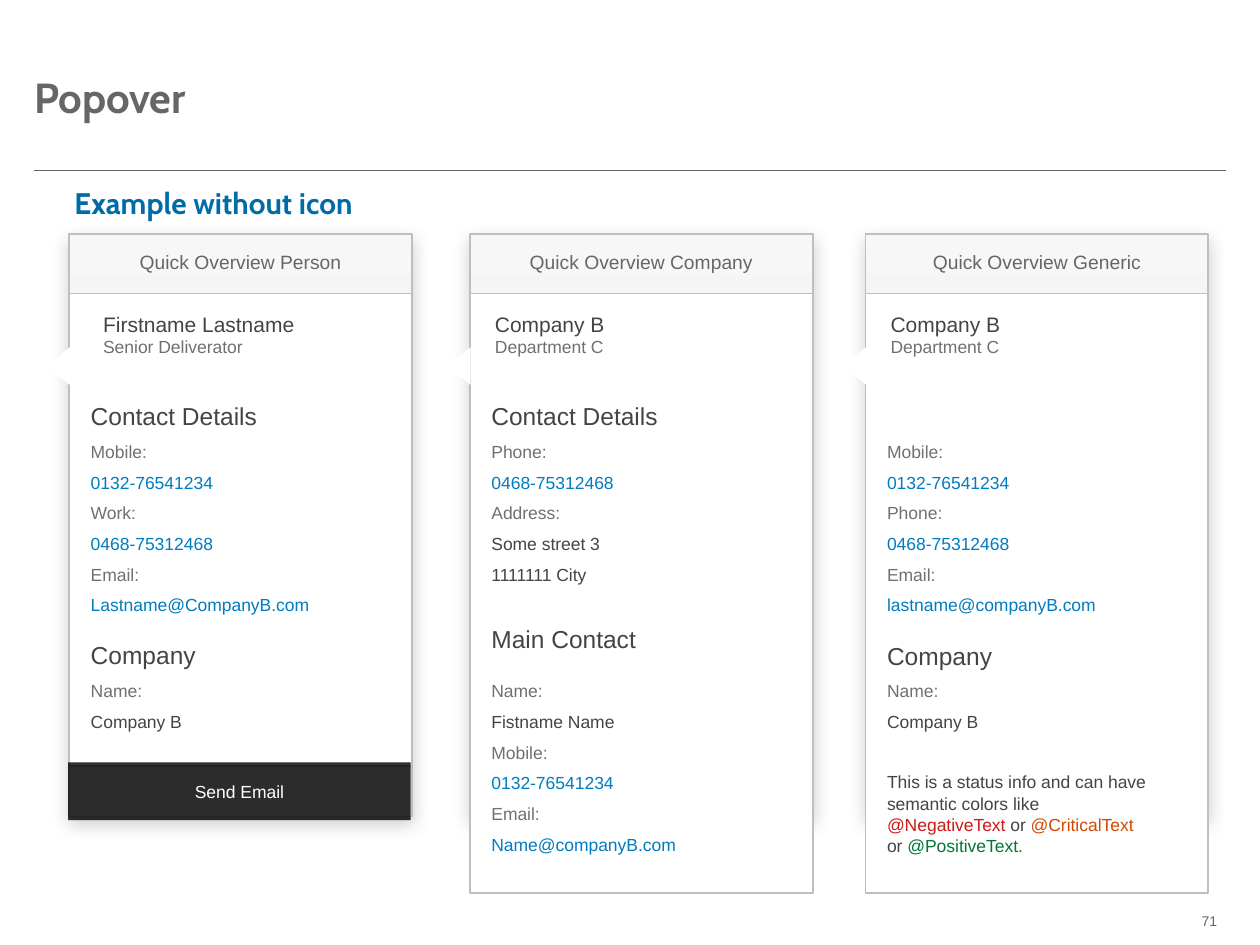
"""Builds the Popover slide with three quick overview cards."""
from dataclasses import dataclass

from lxml.etree import SubElement
from pptx import Presentation
from pptx.dml.color import RGBColor
from pptx.enum.shapes import MSO_CONNECTOR, MSO_SHAPE
from pptx.enum.text import MSO_ANCHOR as ANCHOR, PP_ALIGN as ALIGN
from pptx.oxml.ns import qn
from pptx.util import Inches, Pt


@dataclass(frozen=True)
class Style:
    size: float
    color: str
    font: str = "Arial"
    bold: bool = False


class Theme:
    title = Style(24, "666666", "Cabin", True)
    subtitle = Style(17, "006CA7", "Cabin", True)
    header = Style(11, "666666")
    name = Style(12, "444444")
    section = Style(14, "444444")
    label = Style(10, "707070")
    link = Style(10, "007CC0")
    value = Style(10, "444444")
    negative = Style(10, "CC1919")
    critical = Style(10, "D14900")
    positive = Style(10, "007833")
    button = Style(10, "FFFFFF")
    page = Style(8, "666666")
    rule, border, white, black = "666666", "BFBFBF", "FFFFFF", "000000"
    header_stops = ((0, "F7F7F7"), (0.34, "EDEDED"))
    gap, wide_gap = Pt(5.5), Pt(22.5)


CARD_TOP, CARD_WIDTH, BODY_TOP = 1.86, 2.72, 2.33
LABEL, LINK, VALUE = Theme.label, Theme.link, Theme.value
STATUS = [
    ("This is a status info and can have semantic colors like ", VALUE),
    ("@NegativeText ", Theme.negative), ("or ", VALUE),
    ("@CriticalText ", Theme.critical), ("or ", VALUE),
    ("@PositiveText.", Theme.positive),
]
CARDS = [
    dict(left=0.55, body=3.75, header="Quick Overview Person", indent=0.17,
         name="Firstname Lastname", role="Senior Deliverator",
         sections=[(3.18, "Contact Details"), (5.08, "Company")],
         details=[(3.5, [("Mobile:", LABEL), ("0132-76541234", LINK),
                         ("Work:", LABEL), ("0468-75312468", LINK),
                         ("Email:", LABEL), ("Lastname@CompanyB.com", LINK)]),
                  (5.4, [("Name:", LABEL), ("Company B", VALUE)])]),
    dict(left=3.73, body=4.76, header="Quick Overview Company", indent=0.1,
         name="Company B", role="Department C",
         sections=[(3.18, "Contact Details"), (4.95, "Main Contact")],
         details=[(3.5, [("Phone:", LABEL), ("0468-75312468", LINK),
                         ("Address:", LABEL), ("Some street 3", VALUE),
                         ("1111111 City", VALUE)]),
                  (5.4, [("Name:", LABEL), ("Fistname Name", VALUE),
                         ("Mobile:", LABEL), ("0132-76541234", LINK),
                         ("Email:", LABEL), ("Name@companyB.com", LINK)])]),
    dict(left=6.87, body=4.76, header="Quick Overview Generic", indent=0.1,
         name="Company B", role="Department C",
         sections=[(5.09, "Company")],
         details=[(3.5, [("Mobile:", LABEL), ("0132-76541234", LINK),
                         ("Phone:", LABEL), ("0468-75312468", LINK),
                         ("Email:", LABEL), ("lastname@companyB.com", LINK)]),
                  (5.4, [("Name:", LABEL), ("Company B", VALUE)])],
         status=STATUS),
]


def rgb(color):
    return RGBColor.from_string(color)


def set_margins(tf, left=0, top=0, right=0, bottom=0):
    tf.margin_left, tf.margin_top = Inches(left), Inches(top)
    tf.margin_right, tf.margin_bottom = Inches(right), Inches(bottom)


def write_runs(p, runs):
    for text, style in runs:
        r = p.add_run()
        r.text = text
        r.font.size, r.font.name = Pt(style.size), style.font
        r.font.bold = style.bold
        r.font.color.rgb = rgb(style.color)


def write_lines(tf, lines, gap=0):
    for i, line in enumerate(lines):
        p = tf.add_paragraph() if i else tf.paragraphs[0]
        p.space_before = gap if i else Pt(0)
        write_runs(p, [line])


def add_text(shapes, box, lines, gap=0, inset=(0, 0, 0, 0), wrap=True):
    tf = shapes.add_textbox(*map(Inches, box)).text_frame
    tf.word_wrap = wrap
    set_margins(tf, *inset)
    write_lines(tf, lines, gap)
    return tf


def add_box(shapes, box, fill=None, line=None, kind=MSO_SHAPE.RECTANGLE):
    sp = shapes.add_shape(kind, *map(Inches, box))
    sp.shadow.inherit = False
    if fill:
        sp.fill.solid()
        sp.fill.fore_color.rgb = rgb(fill)
    if line:
        sp.line.color.rgb = rgb(line)
        sp.line.width = Pt(1)
    else:
        sp.line.fill.background()
    return sp


def set_alpha(color, percent):
    SubElement(color, qn("a:alpha"), val=str(percent * 1000))


def add_shadow(sp):
    effects = sp._element.spPr.find(qn("a:effectLst"))
    shadow = SubElement(effects, qn("a:outerShdw"), blurRad=str(Pt(10)),
                        dist=str(Pt(3)), dir="5400000", rotWithShape="0")
    set_alpha(SubElement(shadow, qn("a:srgbClr"), val=Theme.black), 20)


def add_header(shapes, left, text):
    sp = add_box(shapes, (left, CARD_TOP, CARD_WIDTH, 4.62), line=Theme.border)
    sp.fill.gradient()
    sp.fill.gradient_angle = 270
    for stop, (position, color) in zip(sp.fill.gradient_stops, Theme.header_stops):
        stop.position = position
        stop.color.rgb = rgb(color)
    add_shadow(sp)
    tf = sp.text_frame
    tf.vertical_anchor = ANCHOR.TOP
    set_margins(tf, 0.1, 0.13, 0.1, 0.05)
    write_lines(tf, [(text, Theme.header)])
    tf.paragraphs[0].alignment = ALIGN.CENTER


def add_card(slide, card):
    shapes, left = slide.shapes.add_group_shape().shapes, card["left"]
    add_header(shapes, left, card["header"])
    add_box(shapes, (left, BODY_TOP, CARD_WIDTH, card["body"]), Theme.white, Theme.border)
    pointer = add_box(shapes, (left - 0.24, 2.81, 0.3, 0.19), Theme.white,
                      kind=MSO_SHAPE.FLOWCHART_MERGE)
    pointer.rotation = 90
    add_text(shapes, (left + card["indent"], 2.42, 1.99, 0.47),
             [(card["name"], Theme.name), (card["role"], LABEL)],
             inset=(0.1, 0.05, 0.1, 0.05))
    for top, text in card["sections"]:
        add_text(shapes, (left + 0.17, top, 2.37, 0.24), [(text, Theme.section)])
    for top, lines in card["details"]:
        tf = add_text(shapes, (left + 0.17, top, 2.11, 0.24 * len(lines)),
                      lines, Theme.gap)
    if "status" in card:
        p = tf.add_paragraph()
        p.space_before = Theme.wide_gap
        write_runs(p, card["status"])


def add_button(slide):
    sp = add_box(slide.shapes, (0.54, 6.05, CARD_WIDTH, 0.46), Theme.black)
    set_alpha(sp._element.spPr.find(qn("a:solidFill"))[0], 81)
    sp.text_frame.vertical_anchor = ANCHOR.MIDDLE
    write_lines(sp.text_frame, [("Send Email", Theme.button)])
    sp.text_frame.paragraphs[0].alignment = ALIGN.CENTER


def add_title(slide):
    title = slide.shapes.title
    title.left, title.top, title.width, title.height = map(Inches, (0.27, 0.35, 9.47, 0.83))
    tf = title.text_frame
    tf.vertical_anchor = ANCHOR.MIDDLE
    set_margins(tf)
    write_lines(tf, [("Popover", Theme.title)])
    tf.paragraphs[0].alignment = ALIGN.LEFT


def add_rule(slide):
    line = slide.shapes.add_connector(
        MSO_CONNECTOR.STRAIGHT, *map(Inches, (0.27, 1.35, 9.73, 1.35)))
    line.line.color.rgb = rgb(Theme.rule)
    line.line.width = Pt(0.5)
    SubElement(line._element.spPr, qn("a:effectLst"))


def main():
    prs = Presentation()
    prs.slide_width, prs.slide_height = Inches(10), Inches(7.5)
    slide = prs.slides.add_slide(prs.slide_layouts[5])
    add_title(slide)
    add_rule(slide)
    add_text(slide.shapes, (0.59, 1.47, 2.29, 0.29),
             [("Example without icon", Theme.subtitle)], wrap=False)
    for card in CARDS:
        add_card(slide, card)
    add_button(slide)
    page = add_text(slide.shapes, (9.52, 7.24, 0.22, 0.13), [("71", Theme.page)],
                    inset=(0, 0, 0.08, 0), wrap=False)
    page.paragraphs[0].alignment = ALIGN.RIGHT
    prs.save("out.pptx")


if __name__ == "__main__":
    main()
